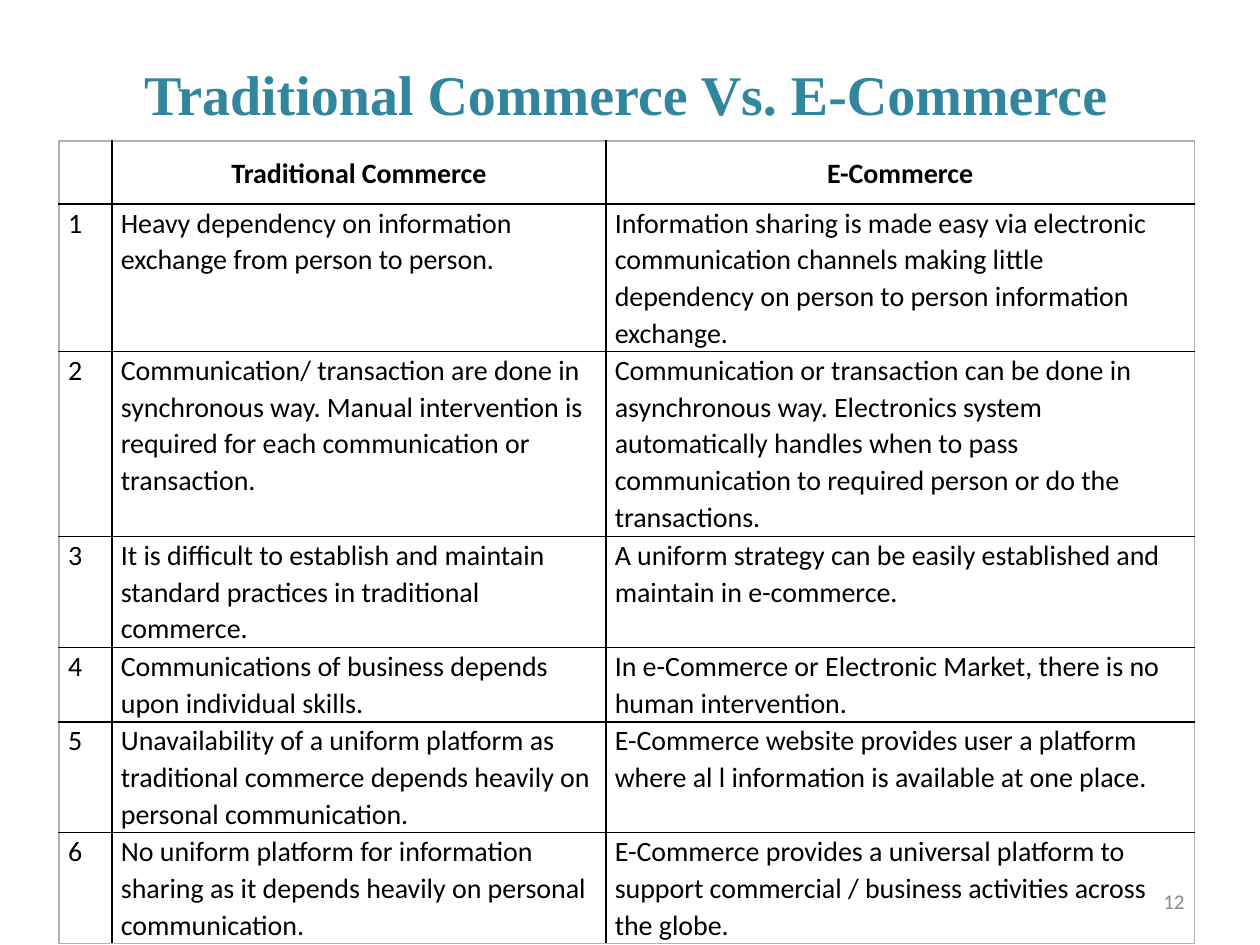
from lxml.etree import SubElement
from pptx import Presentation
from pptx.dml.color import RGBColor as Color
from pptx.enum.text import MSO_ANCHOR as Anchor, PP_ALIGN as Align
from pptx.oxml.ns import qn
from pptx.util import Inches, Pt

COLORS = {"title": "31859C", "text": "000000", "number": "8C8C8C",
          "inner": "000000", "outer": "B2B2B2"}
COLUMN_WIDTHS = [0.42, 3.92, 4.67]
ROW_HEIGHTS = [0.5, 1.17, 1.47, 0.88, 0.59, 0.88, 0.88]
HEADER = ["", "Traditional Commerce", "E-Commerce"]
COMPARISONS = [
    ("Heavy dependency on information exchange from person to person.",
     "Information sharing is made easy via electronic communication channels "
     "making little dependency on person to person information exchange."),
    ("Communication/ transaction are done in synchronous way. Manual "
     "intervention is required for each communication or transaction.",
     "Communication or transaction can be done in asynchronous way. Electronics "
     "system automatically handles when to pass communication to required "
     "person or do the transactions."),
    ("It is difficult to establish and maintain standard practices in "
     "traditional commerce.",
     "A uniform strategy can be easily established and maintain in e-commerce."),
    ("Communications of business depends upon individual skills.",
     "In e-Commerce or Electronic Market, there is no human intervention."),
    ("Unavailability of a uniform platform as traditional commerce depends "
     "heavily on personal communication.",
     "E-Commerce website provides user a platform where al l information is "
     "available at one place."),
    ("No uniform platform for information sharing as it depends heavily on "
     "personal communication.",
     "E-Commerce provides a universal platform to support commercial / business "
     "activities across the globe."),
]


class SlideBuilder:
    body_font = "Calibri"
    title_font = "Times New Roman"

    def __init__(self, slide):
        self.slide = slide

    def add_text(self, paragraph, text, size, color, font=body_font, bold=False,
                 align=Align.LEFT):
        paragraph.alignment = align
        run = paragraph.add_run()
        run.text = text
        run.font.name = font
        run.font.size = Pt(size)
        run.font.bold = bold
        run.font.color.rgb = Color.from_string(COLORS[color])

    def place(self, shape, left, top, width, height):
        shape.left, shape.top = Inches(left), Inches(top)
        shape.width, shape.height = Inches(width), Inches(height)

    def title(self, text, *box):
        title = self.slide.shapes.title
        self.place(title, *box)
        title.text_frame.vertical_anchor = Anchor.TOP
        self.add_text(title.text_frame.paragraphs[0], text, 32, "title",
                      self.title_font, True, Align.CENTER)

    def slide_number(self, text, *box):
        shape = self.slide.shapes.add_textbox(*map(Inches, box))
        frame = shape.text_frame
        frame.word_wrap = True
        frame.vertical_anchor = Anchor.MIDDLE
        self.add_text(frame.paragraphs[0], text, 12, "number", align=Align.RIGHT)

    def border(self, cell, side, color):
        line = SubElement(cell._tc.get_or_add_tcPr(), qn(f"a:{side}"), w="12700")
        fill = SubElement(line, qn("a:solidFill"))
        SubElement(fill, qn("a:srgbClr"), val=COLORS[color])

    def cell(self, cell, text, is_header, is_last):
        cell.margin_left = cell.margin_right = Inches(0.07)
        cell.margin_top = cell.margin_bottom = 0
        cell.vertical_anchor = Anchor.MIDDLE if is_header else Anchor.TOP
        paragraph = cell.text_frame.paragraphs[0]
        paragraph.line_spacing = 1.07
        if is_last:
            paragraph.space_after = Pt(8)
        if text:
            self.add_text(paragraph, text, 16, "text", bold=is_header,
                          align=Align.CENTER if is_header else Align.LEFT)

    def table(self, rows, left, top):
        last_row, last_column = len(rows) - 1, len(COLUMN_WIDTHS) - 1
        table = self.slide.shapes.add_table(
            len(rows), len(COLUMN_WIDTHS), Inches(left), Inches(top),
            Inches(sum(COLUMN_WIDTHS)), Inches(sum(ROW_HEIGHTS))).table
        table.first_row = table.horz_banding = False
        for column, width in zip(table.columns, COLUMN_WIDTHS):
            column.width = Inches(width)
        for row, height in zip(table.rows, ROW_HEIGHTS):
            row.height = Inches(height)
        for r, texts in enumerate(rows):
            for c, text in enumerate(texts):
                cell = table.cell(r, c)
                self.cell(cell, text, r == 0, r == last_row and c > 0)
                edges = {"lnL": c == 0, "lnR": c == last_column,
                         "lnT": r == 0, "lnB": r == last_row}
                for side, is_outer in edges.items():
                    self.border(cell, side, "outer" if is_outer else "inner")
                cell.fill.background()


def main():
    presentation = Presentation()
    presentation.slide_width, presentation.slide_height = Inches(10), Inches(7.5)
    slide = presentation.slides.add_slide(presentation.slide_layouts[5])
    builder = SlideBuilder(slide)
    builder.slide_number("12", 7.17, 6.95, 2.33, 0.4)
    rows = [HEADER] + [(str(number), *texts)
                       for number, texts in enumerate(COMPARISONS, 1)]
    builder.table(rows, 0.47, 1.12)
    builder.title("Traditional Commerce Vs. E-Commerce", 0.87, 0.42, 8.2, 1.25)
    presentation.save("out.pptx")


if __name__ == "__main__":
    main()
